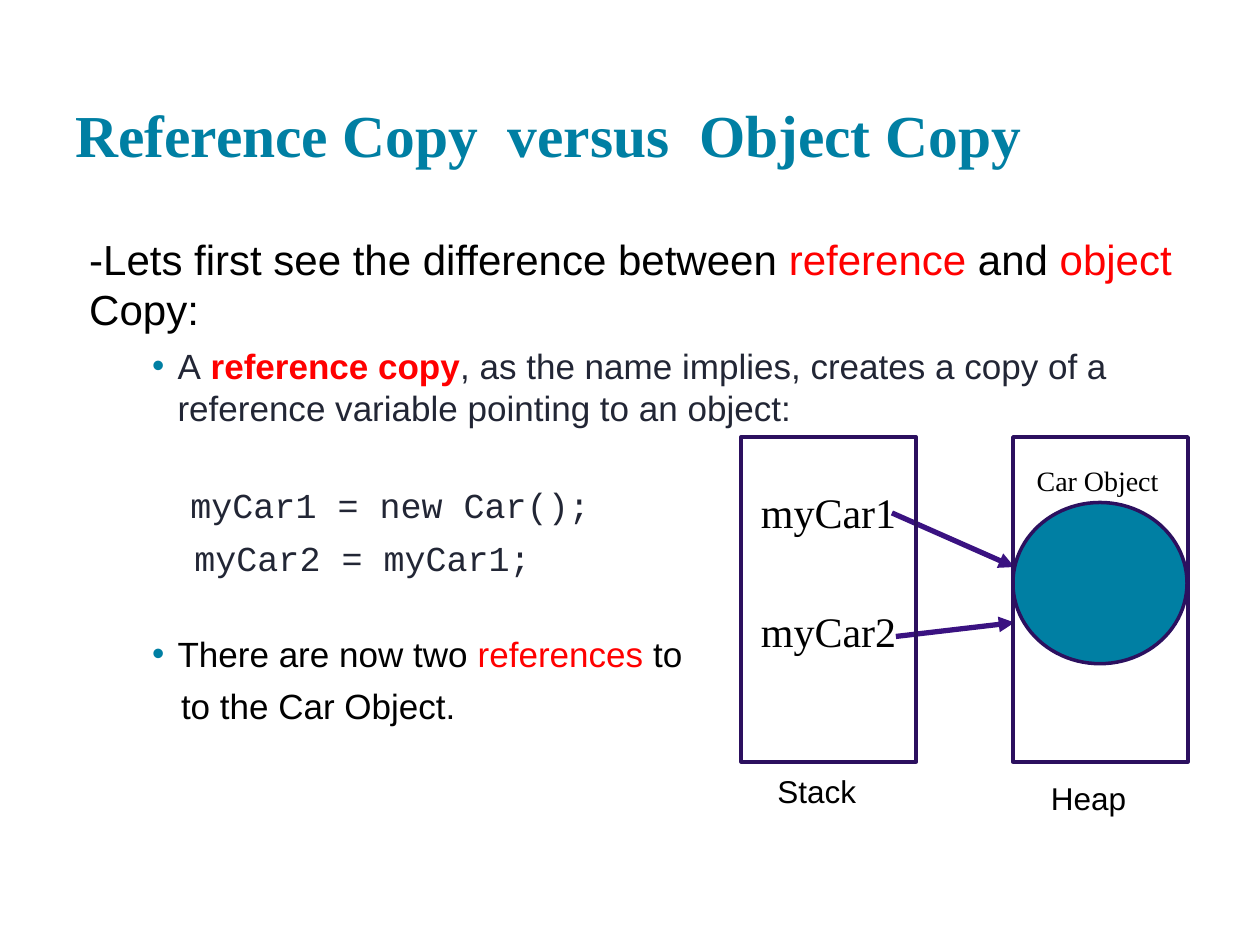
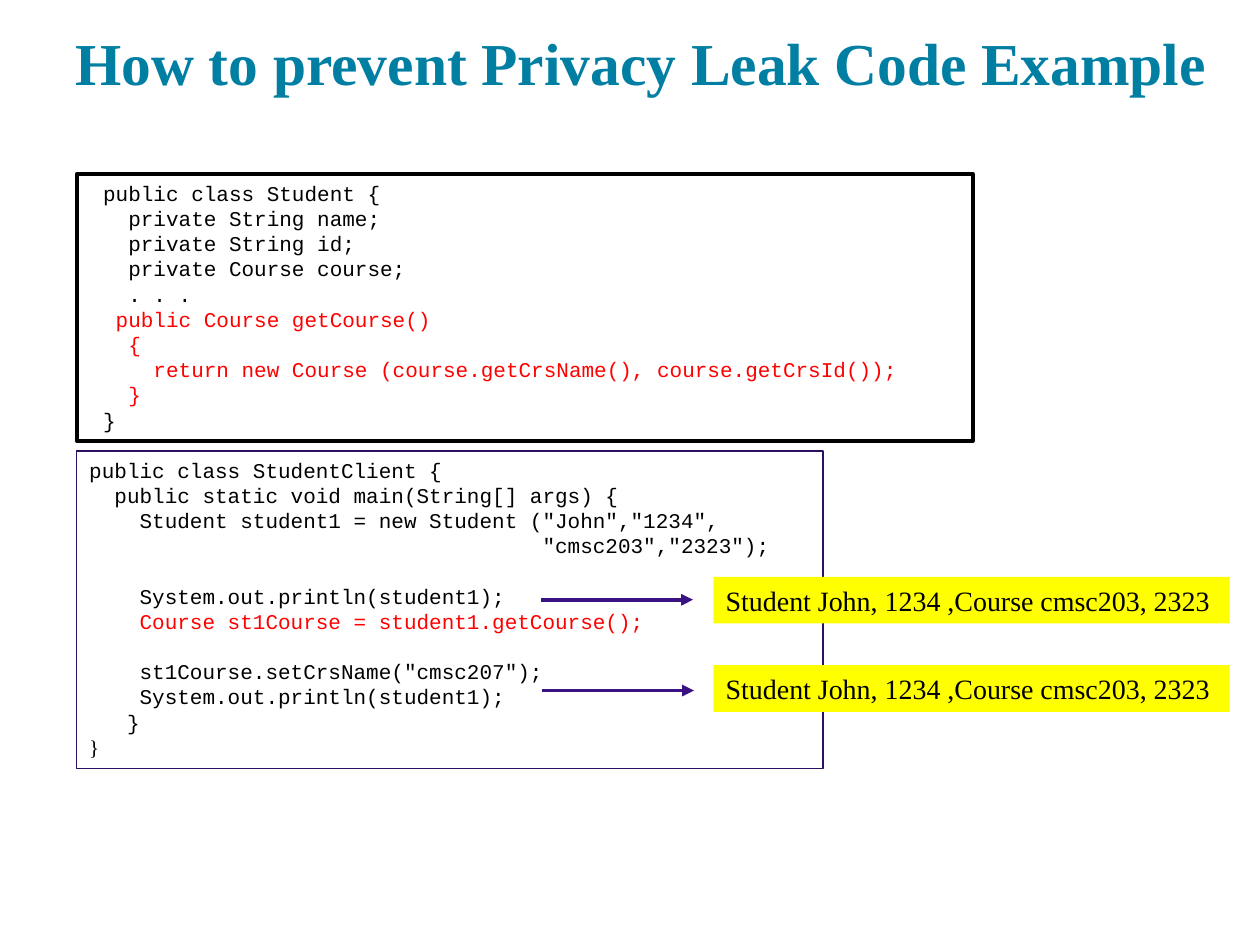
from pptx import Presentation
from pptx.dml.color import RGBColor
from pptx.enum.shapes import MSO_CONNECTOR as Connector, MSO_SHAPE as Preset
from pptx.enum.text import MSO_ANCHOR as Anchor, MSO_AUTO_SIZE as AutoSize, PP_ALIGN as Align
from pptx.oxml.ns import qn
from pptx.util import Cm, Pt
from lxml.etree import SubElement

COLORS = {
    "teal": "007FA3",
    "purple": "2C105F",
    "arrow": "3A1281",
    "ink": "222635",
    "black": "000000",
    "red": "FF0000",
    "yellow": "FFFF00",
}
SERIF, SANS, MONO = "Times New Roman", "Arial", "Courier New"
TITLE_ONLY = 5
CODE_LINE = 14.4

STUDENT_CODE = [
    ("public class Student {", "black"),
    ("  private String name;", "black"),
    ("  private String id;", "black"),
    ("  private Course course;", "black"),
    ("  . . .", "black"),
    (" public Course getCourse()", "red"),
    ("  {", "red"),
    ("    return new Course (course.getCrsName(), course.getCrsId());", "red"),
    ("  }", "red"),
    ("}", "black"),
]
CLIENT_CODE = [
    ("public class StudentClient {", "black"),
    ("  public static void main(String[] args) {", "black"),
    ('    Student student1 = new Student ("John","1234",', "black"),
    ('                                    "cmsc203","2323");', "black"),
    ("    System.out.println(student1);", "black"),
    ("    Course st1Course = student1.getCourse();", "red"),
    ('    st1Course.setCrsName("cmsc207");', "black"),
    ("    System.out.println(student1);", "black"),
    ("   }", "black"),
    ("}", "black"),
]
CLIENT_GAPS = (4, 6)


def color(name):
    return RGBColor.from_string(COLORS[name])


def box(left, top, width, height):
    return Cm(left), Cm(top), Cm(width), Cm(height)


def format_run(run, size, font, color_name, bold=False):
    run.font.size = Pt(size)
    run.font.name = font
    run.font.bold = bold
    run.font.color.rgb = color(color_name)


def set_indent(paragraph, left, first=0, bullet=False):
    properties = paragraph._p.get_or_add_pPr()
    properties.set("marL", str(Cm(left)))
    properties.set("indent", str(Cm(first)))
    if bullet:
        bullet_color = SubElement(properties, qn("a:buClr"))
        SubElement(bullet_color, qn("a:srgbClr")).set("val", COLORS["teal"])
        SubElement(properties, qn("a:buFont")).set("typeface", SANS)
        SubElement(properties, qn("a:buChar")).set("char", "•")


def next_paragraph(text_frame, index):
    return text_frame.add_paragraph() if index else text_frame.paragraphs[0]


def set_margins(text_frame, margin):
    text_frame.margin_left = text_frame.margin_right = Cm(margin)
    text_frame.margin_top = text_frame.margin_bottom = Cm(margin)


def add_titled_slide(presentation, text, place):
    slide = presentation.slides.add_slide(presentation.slide_layouts[TITLE_ONLY])
    title = slide.shapes.title
    title.left, title.top, title.width, title.height = box(*place)
    text_frame = title.text_frame
    text_frame.text = text
    text_frame.auto_size = AutoSize.NONE
    text_frame.vertical_anchor = Anchor.BOTTOM
    set_margins(text_frame, 0.25)
    paragraph = text_frame.paragraphs[0]
    paragraph.alignment = Align.LEFT
    format_run(paragraph.runs[0], 34, SERIF, "teal", True)
    return slide


def add_label(slide, text, place, size, font=SERIF, centered=False):
    label = slide.shapes.add_textbox(*box(*place))
    text_frame = label.text_frame
    text_frame.text = text
    text_frame.word_wrap = centered
    paragraph = text_frame.paragraphs[0]
    if centered:
        text_frame.vertical_anchor = Anchor.MIDDLE
        paragraph.alignment = Align.CENTER
    else:
        text_frame.auto_size = AutoSize.SHAPE_TO_FIT_TEXT
    format_run(paragraph.runs[0], size, font, "black")
    return label


def add_figure(slide, preset, place, fill=None, line="purple", width=2):
    shape = slide.shapes.add_shape(preset, *box(*place))
    shape.shadow.inherit = False
    if fill:
        shape.fill.solid()
        shape.fill.fore_color.rgb = color(fill)
    else:
        shape.fill.background()
    shape.line.color.rgb = color(line)
    shape.line.width = Pt(width)
    return shape


def add_arrow(slide, start, end, width):
    arrow = slide.shapes.add_connector(
        Connector.STRAIGHT, Cm(start[0]), Cm(start[1]), Cm(end[0]), Cm(end[1]))
    arrow.line.color.rgb = color("arrow")
    arrow.line.width = Pt(width)
    SubElement(arrow.line._get_or_add_ln(), qn("a:tailEnd")).set("type", "triangle")
    SubElement(arrow._element.spPr, qn("a:effectLst"))


def add_code_box(slide, place, lines, line, width, indent=0, gaps=()):
    shape = add_figure(slide, Preset.RECTANGLE, place, line=line, width=width)
    text_frame = shape.text_frame
    text_frame.word_wrap = True
    text_frame.vertical_anchor = Anchor.TOP
    for index, (text, color_name) in enumerate(lines):
        paragraph = next_paragraph(text_frame, index)
        paragraph.text = text
        paragraph.alignment = Align.LEFT
        set_indent(paragraph, indent)
        if index in gaps:
            paragraph.space_before = Pt(CODE_LINE)
        format_run(paragraph.runs[0], 12, MONO, color_name)
    return shape


def add_body(slide, place, paragraphs):
    text_frame = slide.shapes.add_textbox(*box(*place)).text_frame
    text_frame.word_wrap = True
    set_margins(text_frame, 0.25)
    for index, (indent, before, size, font, pieces) in enumerate(paragraphs):
        paragraph = next_paragraph(text_frame, index)
        set_indent(paragraph, *indent)
        if index:
            paragraph.space_before = Pt(before)
        for text, *style in pieces:
            run = paragraph.add_run()
            run.text = text
            format_run(run, size, font, *style)


def build_copy_slide(presentation):
    slide = add_titled_slide(
        presentation, "Reference Copy  versus  Object Copy", (1.27, 0.61, 22.86, 3.05))
    bullet = (2.06, -0.51, True)
    add_body(slide, (1.27, 4.45, 23.29, 12.57), [
        ((0.28,), 0, 24, SANS, [
            ("-Lets first see the difference between ", "black"), ("reference", "red"),
            (" and ", "black"), ("object", "red"), (" Copy:", "black")]),
        (bullet, 6, 20, SANS, [
            ("A\u00a0", "ink"), ("reference copy", "red", True),
            (", as the name implies, creates a copy of a reference variable "
             "pointing to an object:", "ink")]),
        ((2.32,), 31.5, 20, MONO, [("myCar1 = new Car();", "ink")]),
        ((2.4,), 6, 20, MONO, [("myCar2 = myCar1;", "ink")]),
        (bullet, 31, 20, SANS, [
            ("There are now two ", "black"), ("references", "red"), (" to", "black")]),
        ((2.13,), 6, 20, SANS, [("to the Car Object.", "black")]),
    ])
    add_figure(slide, Preset.OVAL, (20.42, 10.13, 3.51, 3.25), "teal")
    add_label(slide, "Car Object", (20.65, 9.22, 3.15, 0.94), 16)
    for name, top in (("myCar1", 9.68), ("myCar2", 12.09)):
        add_label(slide, name, (15.09, top, 3.28, 1.3), 24)
    add_arrow(slide, (17.98, 10.34), (20.45, 11.43), 3)
    add_arrow(slide, (18.06, 12.83), (20.45, 12.55), 3)
    for name, left, label_top in (("Stack", 14.94, 15.39), ("Heap", 20.42, 15.54)):
        add_figure(slide, Preset.RECTANGLE, (left, 8.81, 3.53, 6.55))
        add_label(slide, name, (left, label_top, 3.05, 1.09), 18, SANS, True)


def build_leak_slide(presentation):
    slide = add_titled_slide(
        presentation, "How to prevent Privacy Leak Code Example", (1.27, 0.43, 24.13, 1.78))
    add_code_box(slide, (1.55, 3.51, 18.06, 5.38), STUDENT_CODE, "black", 2.25, 0.28)
    client = add_code_box(
        slide, (1.55, 9.09, 15.04, 6.4), CLIENT_CODE, "purple", 0.75, gaps=CLIENT_GAPS)
    client.text_frame.paragraphs[-1].runs[0].font.name = SERIF
    for output_top, arrow_left, arrow_top in ((11.63, 10.9, 12.09), (13.41, 10.92, 13.92)):
        output = add_label(slide, "Student John, 1234 ,Course cmsc203, 2323",
                           (14.38, output_top, 10.41, 0.94), 16)
        output.fill.solid()
        output.fill.fore_color.rgb = color("yellow")
        add_arrow(slide, (arrow_left, arrow_top), (arrow_left + 3.07, arrow_top), 2.25)


def main():
    presentation = Presentation()
    presentation.slide_width, presentation.slide_height = Cm(25.4), Cm(19.05)
    build_copy_slide(presentation)
    build_leak_slide(presentation)
    presentation.save("out.pptx")


if __name__ == "__main__":
    main()
